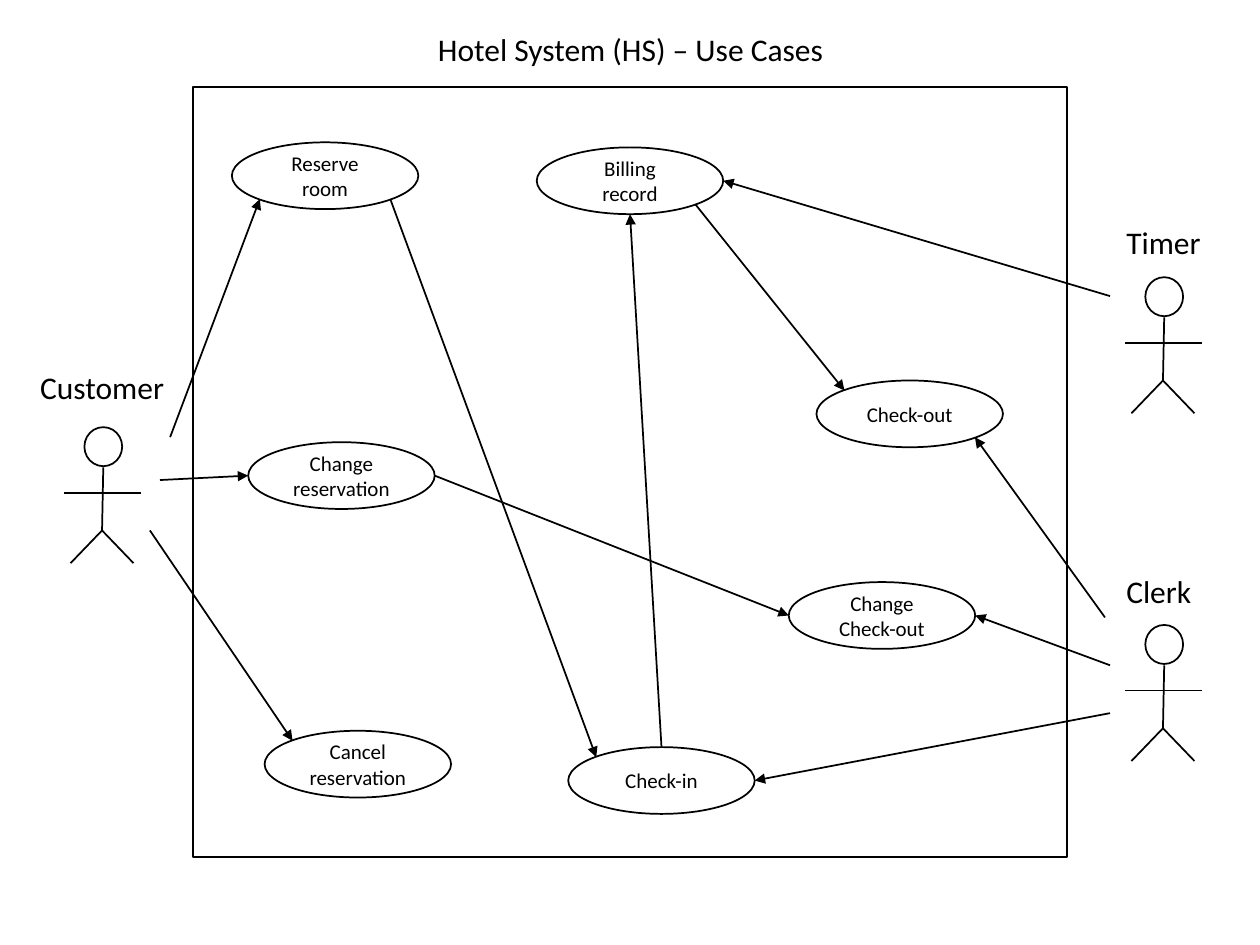
"""Build the Hotel System use case diagram slide."""
from lxml.etree import SubElement
from pptx import Presentation
from pptx.dml.color import RGBColor
from pptx.enum.shapes import MSO_CONNECTOR, MSO_SHAPE
from pptx.enum.text import MSO_ANCHOR, PP_ALIGN
from pptx.oxml.ns import qn
from pptx.util import Inches, Pt

COLORS = {"ink": "000000", "paper": "FFFFFF"}
INK = RGBColor.from_string(COLORS["ink"])
PAPER = RGBColor.from_string(COLORS["paper"])
OVAL_W, OVAL_H = 1.48, 0.53
SITES = {
    "top": (0.5, 0), "bottom": (0.5, 1), "left": (0, 0.5), "right": (1, 0.5),
    "top left": (0.15, 0.15), "bottom left": (0.15, 0.85), "bottom right": (0.85, 0.85),
}


def add_outline(shapes, kind, left, top, width, height):
    outline = shapes.add_shape(kind, Inches(left), Inches(top), Inches(width), Inches(height))
    outline.shadow.inherit = False
    outline.fill.solid()
    outline.fill.fore_color.rgb = PAPER
    outline.line.color.rgb = INK
    outline.line.width = Pt(1)
    return outline


def add_line(shapes, start, end, arrow=False):
    line = shapes.add_connector(MSO_CONNECTOR.STRAIGHT, *(Inches(v) for v in (*start, *end)))
    line.line.color.rgb = INK
    line.line.width = Pt(1)
    properties = line._element.spPr
    if arrow:
        SubElement(properties.find(qn("a:ln")), qn("a:tailEnd"), type="triangle")
    SubElement(properties, qn("a:effectLst"))


presentation = Presentation()
presentation.slide_width, presentation.slide_height = Inches(10), Inches(7.5)
slide = presentation.slides.add_slide(presentation.slide_layouts[5])
shapes = slide.shapes

add_outline(shapes, MSO_SHAPE.RECTANGLE, 1.53, 0.69, 6.94, 6.11)

labels = []
actors = [("Customer", 0.82, 3.39, 0.22, 2.87), ("Clerk", 9.24, 4.96, 8.84, 4.49),
          ("Timer", 9.24, 2.2, 8.84, 1.72)]
for name, center, top, label_left, label_top in actors:
    figure = shapes.add_group_shape().shapes
    add_outline(figure, MSO_SHAPE.OVAL, center - 0.15, top, 0.3, 0.31)
    hip = (center - 0.01, top + 0.82)
    add_line(figure, (center, top + 0.32), hip)
    for foot in (-0.25, 0.25):
        add_line(figure, hip, (hip[0] + foot, top + 1.08))
    add_line(figure, (center - 0.31, top + 0.52), (center + 0.3, top + 0.52))
    label = shapes.add_textbox(Inches(label_left), Inches(label_top), Inches(1.28), Inches(0.4))
    label.text_frame.text = name
    labels.append((label, PP_ALIGN.LEFT, 18))

use_cases = {
    "Reserve room": (1.84, 1.13), "Change reservation": (1.97, 3.51),
    "Cancel reservation": (2.1, 5.8), "Check-in": (4.51, 5.93),
    "Check-out": (6.48, 3.02), "Change Check-out": (6.26, 4.62),
    "Billing record": (4.26, 1.17),
}
for name, (left, top) in use_cases.items():
    use_case = add_outline(shapes, MSO_SHAPE.OVAL, left, top, OVAL_W, OVAL_H)
    use_case.text_frame.text = name
    use_case.text_frame.vertical_anchor = MSO_ANCHOR.MIDDLE
    labels.append((use_case, PP_ALIGN.CENTER, 12))

flows = [
    ((1.35, 3.47), ("Reserve room", "bottom left")),
    ((1.27, 3.81), ("Change reservation", "left")),
    ((1.19, 4.21), ("Cancel reservation", "top left")),
    (("Reserve room", "bottom right"), ("Check-in", "top left")),
    (("Change reservation", "right"), ("Change Check-out", "left")),
    (("Billing record", "bottom right"), ("Check-out", "top left")),
    ((8.81, 5.66), ("Check-in", "right")),
    (("Check-in", "top"), ("Billing record", "bottom")),
    ((8.81, 2.35), ("Billing record", "right")),
    ((8.81, 5.28), ("Change Check-out", "right")),
    ((8.77, 4.9), ("Check-out", "bottom right")),
]
for flow in flows:
    ends = []
    for end in flow:
        if end[0] in use_cases:
            (left, top), (across, down) = use_cases[end[0]], SITES[end[1]]
            end = (left + across * OVAL_W, top + down * OVAL_H)
        ends.append(end)
    add_line(shapes, *ends, arrow=True)

title = shapes.title
title.left, title.top, title.width, title.height = (Inches(v) for v in (3.34, 0.19, 3.33, 0.4))
title.text_frame.text = "Hotel System (HS) – Use Cases"
labels.append((title, PP_ALIGN.CENTER, 18))

for label, alignment, size in labels:
    label.text_frame.word_wrap = True
    paragraph = label.text_frame.paragraphs[0]
    paragraph.alignment = alignment
    font = paragraph.runs[0].font
    font.name, font.size = "Calibri", Pt(size)
    font.color.rgb = INK

presentation.save("out.pptx")
